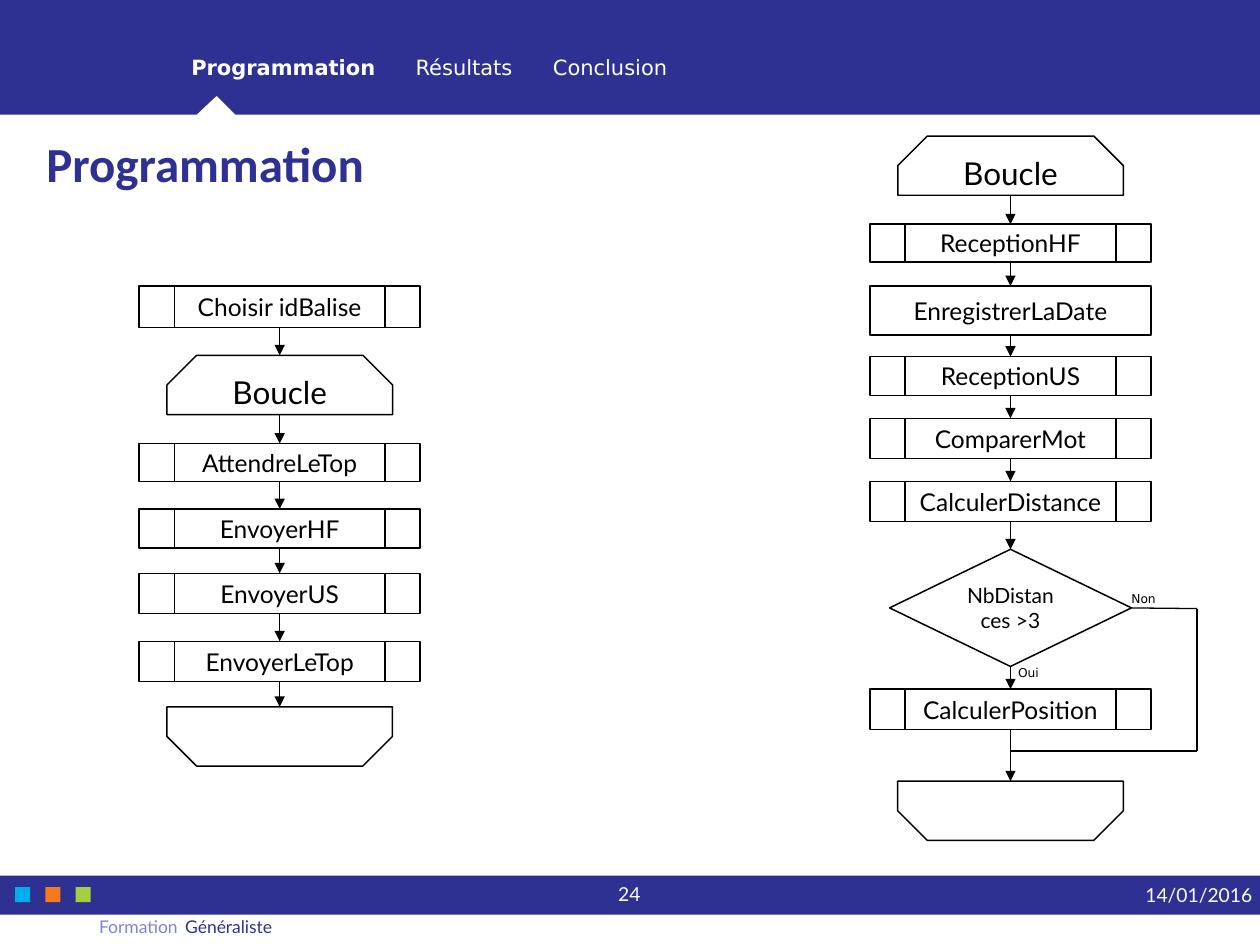
"""Build the programming slide with its two flowcharts."""
import dataclasses
import typing

import lxml.etree
import pptx
import pptx.dml.color
import pptx.enum.shapes
import pptx.enum.text
import pptx.oxml
import pptx.oxml.ns
import pptx.util

Inches = pptx.util.Inches
Kind = pptx.enum.shapes.MSO_SHAPE
Align = pptx.enum.text.PP_ALIGN
Anchor = pptx.enum.text.MSO_ANCHOR
qn = pptx.oxml.ns.qn


@dataclasses.dataclass(frozen=True)
class Theme:
    navy: str = "2E3192"
    lilac: str = "7F83D7"
    white: str = "FFFFFF"
    black: str = "000000"
    dots: tuple = ("00AEEF", "F47920", "A6CE43")
    font: str = "Lato"
    head: str = "Calibri"
    menu: str = "DejaVu Sans"
    title: float = 28
    loop: float = 18
    step: float = 14
    small: float = 12
    date: float = 11
    foot: float = 10
    label: float = 7
    edge: float = 0.85
    wire: float = 0.75


@dataclasses.dataclass(frozen=True)
class Step:
    top: float
    high: float
    text: str = ""
    kind: typing.Any = Kind.FLOWCHART_PREDEFINED_PROCESS
    wide: float = 2.23
    size: float = Theme.step
    turn: float = 0


def start(top: float) -> Step:
    return Step(top, 0.47, "Boucle", Kind.SNIP_2_SAME_RECTANGLE, 1.79, Theme.loop)


def end(top: float) -> Step:
    return Step(top, 0.47, "", Kind.SNIP_2_SAME_RECTANGLE, 1.79, Theme.loop, 180)


LEFT_MID, RIGHT_MID = 2.22, 8.02
SEND = [
    Step(2.27, 0.33, "Choisir idBalise"),
    start(2.82),
    Step(3.52, 0.3, "AttendreLeTop"),
    Step(4.04, 0.31, "EnvoyerHF"),
    Step(4.55, 0.32, "EnvoyerUS"),
    Step(5.09, 0.32, "EnvoyerLeTop"),
    end(5.61),
]
TEST = Step(4.36, 0.93, "NbDistances >3", Kind.FLOWCHART_DECISION, 1.92, Theme.small)
READ = [
    start(1.08),
    Step(1.78, 0.3, "ReceptionHF"),
    Step(2.27, 0.39, "EnregistrerLaDate", Kind.RECTANGLE),
    Step(2.83, 0.31, "ReceptionUS"),
    Step(3.32, 0.32, "ComparerMot"),
    Step(3.82, 0.32, "CalculerDistance"),
    TEST,
    Step(5.47, 0.32, "CalculerPosition"),
    end(6.2),
]


def tint(name: str) -> pptx.dml.color.RGBColor:
    return pptx.dml.color.RGBColor.from_string(name)


def paint(shape, fill: str, edge: typing.Optional[str] = None) -> None:
    shape.shadow.inherit = False
    shape.fill.solid()
    shape.fill.fore_color.rgb = tint(fill)
    if edge:
        shape.line.color.rgb = tint(edge)
        shape.line.width = pptx.util.Pt(Theme.edge)
    else:
        shape.line.fill.background()


def write(frame, text: str, *, size: float, color: str = Theme.black,
          font: str = Theme.font, bold: bool = False, align=Align.LEFT,
          anchor=Anchor.TOP, inset: bool = True):
    frame.word_wrap = True
    frame.vertical_anchor = anchor
    if not inset:
        frame.margin_left = frame.margin_right = 0
        frame.margin_top = frame.margin_bottom = 0
    line = frame.paragraphs[0]
    line.alignment = align
    run = line.add_run()
    run.text = text
    run.font.size = pptx.util.Pt(size)
    run.font.name = font
    run.font.bold = bold
    run.font.color.rgb = tint(color)
    return line


def place(slide, box: tuple, text: str, **form):
    frame = slide.shapes.add_textbox(*map(Inches, box)).text_frame
    return write(frame, text, **form)


def block(slide, box: tuple, fill: str) -> None:
    paint(slide.shapes.add_shape(Kind.RECTANGLE, *map(Inches, box)), fill)


def wire(slide, x1: float, y1: float, x2: float, y2: float, arrow: bool = False):
    line = slide.shapes.add_connector(
        pptx.enum.shapes.MSO_CONNECTOR.STRAIGHT, *map(Inches, (x1, y1, x2, y2)))
    line.line.color.rgb = tint(Theme.black)
    line.line.width = pptx.util.Pt(Theme.wire)
    if arrow:
        lxml.etree.SubElement(line.line._get_or_add_ln(), qn("a:tailEnd"), type="triangle")
    lxml.etree.SubElement(line._element.spPr, qn("a:effectLst"))
    return line


def draw(slide, step: Step, mid: float):
    box = (mid - step.wide / 2, step.top, step.wide, step.high)
    shape = slide.shapes.add_shape(step.kind, *map(Inches, box))
    paint(shape, Theme.white, Theme.black)
    shape.rotation = step.turn
    if step.kind == Kind.SNIP_2_SAME_RECTANGLE:
        shape.adjustments[0], shape.adjustments[1] = 0.5, 0
    if step.text:
        write(shape.text_frame, step.text, size=step.size,
              align=Align.CENTER, anchor=Anchor.MIDDLE)
    return shape


def chart(slide, steps: typing.List[Step], mid: float) -> list:
    made = [draw(slide, step, mid) for step in steps]
    for i, (step, after) in enumerate(zip(steps, steps[1:])):
        line = wire(slide, mid, step.top + step.high, mid, after.top, arrow=True)
        if step.kind != Kind.SNIP_2_SAME_RECTANGLE:
            line.begin_connect(made[i], 2)
        if after.kind != Kind.SNIP_2_SAME_RECTANGLE:
            line.end_connect(made[i + 1], 0)
    return made


def bypass(slide, test) -> None:
    tip, far, high, low = RIGHT_MID + TEST.wide / 2, 9.5, 4.83, 5.96
    wire(slide, tip, high, far, high).begin_connect(test, 3)
    wire(slide, far, high, far, low)
    wire(slide, far, low, RIGHT_MID, low)
    for x, y, text in ((8.08, 5.28, "Oui"), (8.98, 4.69, "Non")):
        place(slide, (x, y, 0.36, 0.12), text, size=Theme.label,
              font=Theme.menu, inset=False)


def header(slide) -> None:
    points = [(10, 0), (10, 0.91), (1.87, 0.91), (1.72, 0.76), (1.56, 0.91), (0, 0.91)]
    form = slide.shapes.build_freeform(0, 0)
    form.add_line_segments([(Inches(x), Inches(y)) for x, y in points])
    paint(form.convert_to_shape(), Theme.navy)
    style = dict(size=Theme.small, font=Theme.menu, color=Theme.white)
    line = place(slide, (1.42, 0.38, 7.36, 0.3), "Programmation", bold=True, **style)
    tabs = lxml.etree.SubElement(line._p.get_or_add_pPr(), qn("a:tabLst"))
    for stop in (1.78, 2.87):
        lxml.etree.SubElement(tabs, qn("a:tab"), pos=str(Inches(stop)), algn="l")
    write_rest = line.add_run()
    write_rest.text = "\tRésultats\tConclusion"
    write_rest.font.size = pptx.util.Pt(Theme.small)
    write_rest.font.name = Theme.menu
    write_rest.font.color.rgb = tint(Theme.white)
    place(slide, (0.27, 1.02, 9.46, 0.54), "Programmation", size=Theme.title,
          font=Theme.head, color=Theme.navy, bold=True, anchor=Anchor.MIDDLE)


def footer(slide) -> None:
    block(slide, (0, 6.95, 10, 0.31), Theme.navy)
    for i, color in enumerate(Theme.dots):
        block(slide, (0.12 + 0.24 * i, 7.04, 0.12, 0.12), color)
    place(slide, (1.47, 7.27, 5, 0.24), "Généraliste", size=Theme.foot,
          color=Theme.navy, inset=False)
    place(slide, (0, 7.27, 1.41, 0.24), "Formation", size=Theme.foot,
          color=Theme.lilac, align=Align.RIGHT, inset=False)
    place(slide, (8.2, 6.95, 1.74, 0.31), "14/01/2016", size=Theme.date,
          color=Theme.white, align=Align.RIGHT, anchor=Anchor.MIDDLE, inset=False)
    place(slide, (4.62, 6.95, 0.75, 0.31), "24", size=Theme.date,
          color=Theme.white, align=Align.CENTER)


def main() -> None:
    deck = pptx.Presentation()
    deck.slide_width, deck.slide_height = Inches(10), Inches(7.5)
    slide = deck.slides.add_slide(deck.slide_layouts[6])
    header(slide)
    footer(slide)
    chart(slide, SEND, LEFT_MID)
    made = chart(slide, READ, RIGHT_MID)
    bypass(slide, made[READ.index(TEST)])
    deck.save("out.pptx")


if __name__ == "__main__":
    main()
